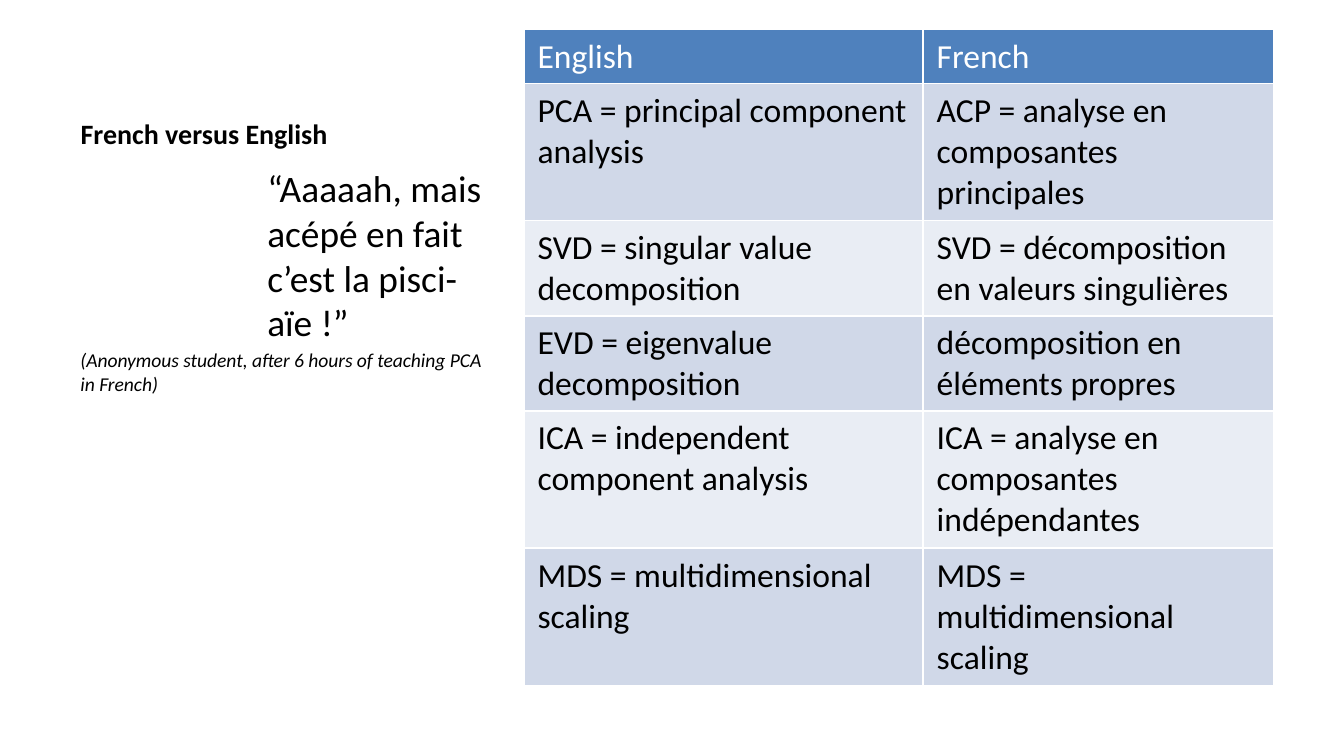
from dataclasses import dataclass

from lxml.etree import SubElement
from pptx import Presentation
from pptx.dml.color import RGBColor
from pptx.enum.text import MSO_ANCHOR, MSO_AUTO_SIZE, PP_ALIGN
from pptx.oxml.ns import qn
from pptx.util import Inches, Pt


@dataclass(frozen=True)
class Theme:
    """Colours, font and type sizes of the slide."""

    font: str = "Calibri"
    text: str = "000000"
    light: str = "FFFFFF"
    header: str = "4F81BD"
    bands: tuple = ("D0D8E8", "E9EDF4")
    title_size: float = 15
    quote_size: float = 20
    source_size: float = 10.5
    table_size: float = 18


THEME = Theme()
SLIDE_WIDTH = 10
TERMS = [
    ("English", "French"),
    ("PCA = principal component analysis", "ACP = analyse en composantes principales"),
    ("SVD = singular value decomposition", "SVD = décomposition en valeurs singulières"),
    ("EVD = eigenvalue decomposition", "décomposition en éléments propres"),
    ("ICA = independent component analysis", "ICA = analyse en composantes indépendantes"),
    ("MDS = multidimensional scaling", "MDS = multidimensional scaling"),
]
COLUMN_WIDTHS = (2.97, 2.61)
ROW_HEIGHTS = (0.4, 1.02, 0.71, 0.71, 1.02, 1.02)


def format_paragraph(paragraph, size, color=THEME.text, bold=False, italic=False):
    """Left-align a paragraph and format its runs."""
    paragraph.alignment = PP_ALIGN.LEFT
    for run in paragraph.runs:
        run.font.name = THEME.font
        run.font.size = Pt(size)
        run.font.bold = bold
        run.font.italic = italic
        run.font.color.rgb = RGBColor.from_string(color)


def set_title(slide, text):
    """Place and format the title placeholder."""
    title = slide.shapes.title
    title.left, title.top = Inches(0.5), Inches(0.22)
    title.width, title.height = Inches(3.29), Inches(0.95)
    frame = title.text_frame
    frame.text = text
    frame.word_wrap = True
    frame.auto_size = MSO_AUTO_SIZE.NONE
    frame.vertical_anchor = MSO_ANCHOR.BOTTOM
    format_paragraph(frame.paragraphs[0], THEME.title_size, bold=True)


def add_quote(slide, text, source):
    """Add an indented quotation followed by its source."""
    box = slide.shapes.add_textbox(Inches(0.5), Inches(1.18), Inches(3.29), Inches(3.85))
    frame = box.text_frame
    frame.word_wrap = True
    quote = frame.paragraphs[0]
    quote.text = text
    quote._p.get_or_add_pPr().set("marL", str(Inches(1.39)))
    format_paragraph(quote, THEME.quote_size)
    credit = frame.add_paragraph()
    credit.text = source
    credit.space_before = Pt(2)
    format_paragraph(credit, THEME.source_size, italic=True)


def set_borders(cell, color, width):
    """Draw the four borders of a cell."""
    properties = cell._tc.get_or_add_tcPr()
    for side in ("a:lnL", "a:lnR", "a:lnT", "a:lnB"):
        line = SubElement(properties, qn(side), w=str(Pt(width)))
        fill = SubElement(line, qn("a:solidFill"))
        SubElement(fill, qn("a:srgbClr"), val=color)


def format_cell(cell, text, fill, color):
    """Write a table cell with its borders and fill."""
    cell.text = text
    format_paragraph(cell.text_frame.paragraphs[0], THEME.table_size, color)
    set_borders(cell, THEME.light, 1)
    cell.fill.solid()
    cell.fill.fore_color.rgb = RGBColor.from_string(fill)


def add_terms_table(slide):
    """Add the banded table of English and French terms."""
    table = slide.shapes.add_table(
        len(TERMS), len(COLUMN_WIDTHS), Inches(3.9), Inches(0.22),
        Inches(sum(COLUMN_WIDTHS)), Inches(sum(ROW_HEIGHTS)),
    ).table
    for column, width in zip(table.columns, COLUMN_WIDTHS):
        column.width = Inches(width)
    for index, (row, height, terms) in enumerate(zip(table.rows, ROW_HEIGHTS, TERMS)):
        row.height = Inches(height)
        fill = THEME.bands[(index - 1) % 2] if index else THEME.header
        color = THEME.text if index else THEME.light
        for cell, term in zip(row.cells, terms):
            format_cell(cell, term, fill, color)


def main():
    """Build and save the presentation."""
    presentation = Presentation()
    presentation.slide_width = Inches(SLIDE_WIDTH)
    presentation.slide_height = Inches(SLIDE_WIDTH * 9 / 16)
    slide = presentation.slides.add_slide(presentation.slide_layouts.get_by_name("Title Only"))
    set_title(slide, "French versus English")
    add_quote(
        slide,
        "“Aaaaah, mais acépé en fait c’est la pisci-aïe !”",
        "(Anonymous student, after 6 hours of teaching PCA in French)",
    )
    add_terms_table(slide)
    presentation.save("out.pptx")


if __name__ == "__main__":
    main()
